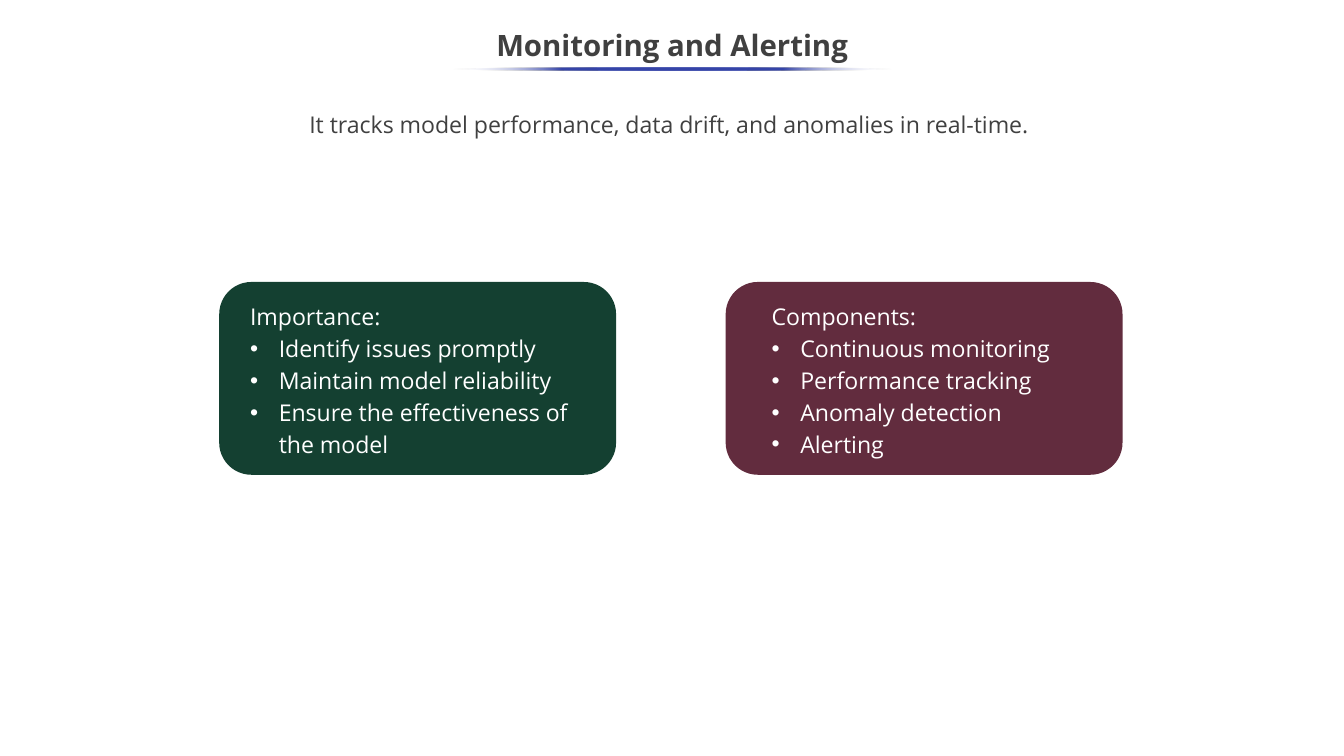
from lxml import etree
from pptx import Presentation
from pptx.dml.color import RGBColor
from pptx.enum.shapes import MSO_SHAPE
from pptx.enum.text import MSO_ANCHOR, PP_ALIGN
from pptx.oxml.ns import qn
from pptx.util import Inches, Pt

WIDTH, HEIGHT = 17.78, 10
FONT = "Open Sans"
GREY = RGBColor(0x40, 0x40, 0x40)
WHITE = RGBColor(0xFF, 0xFF, 0xFF)
GREEN = RGBColor(0x14, 0x40, 0x31)
MAROON = RGBColor(0x62, 0x2C, 0x3E)
BLUE = RGBColor(0x36, 0x45, 0xA9)
CARD_LEFT, CARD_TOP = 2.9, 3.73
CARD_WIDTH, CARD_HEIGHT, CARD_PITCH = 5.25, 2.55, 6.7
BULLET_INDENT = 0.38
CARDS = [
    (GREEN, 0.31, 4.64, "Importance:", [
        "Identify issues promptly",
        "Maintain model reliability",
        "Ensure the effectiveness of the model",
    ]),
    (MAROON, 0.51, 4.26, "Components:", [
        "Continuous monitoring",
        "Performance tracking",
        "Anomaly detection",
        "Alerting",
    ]),
]


def add_bullet(paragraph):
    """Give a paragraph a round bullet with a hanging indent."""
    properties = paragraph._p.get_or_add_pPr()
    indent = Inches(BULLET_INDENT)
    properties.set("marL", str(indent))
    properties.set("indent", str(-indent))
    etree.SubElement(properties, qn("a:buFont")).set("typeface", "Arial")
    etree.SubElement(properties, qn("a:buChar")).set("char", "•")


def add_text(slide, box, lines, size, color, spacing=1.15, bold=False,
             align=PP_ALIGN.LEFT, anchor=MSO_ANCHOR.TOP, inset=0.05):
    """Add a text box whose lines after the first are bullets."""
    frame = slide.shapes.add_textbox(*map(Inches, box)).text_frame
    frame.word_wrap = True
    frame.vertical_anchor = anchor
    frame.margin_top = frame.margin_bottom = Inches(inset)
    frame.text = "\n".join(lines)
    for index, paragraph in enumerate(frame.paragraphs):
        paragraph.alignment = align
        paragraph.line_spacing = spacing
        if index:
            add_bullet(paragraph)
        for run in paragraph.runs:
            run.font.name = FONT
            run.font.size = Pt(size)
            run.font.bold = bold
            run.font.color.rgb = color


def add_plain_shape(slide, preset, box):
    """Add a preset shape without outline or shadow."""
    shape = slide.shapes.add_shape(preset, *map(Inches, box))
    shape.shadow.inherit = False
    shape.line.fill.background()
    return shape


def add_card(slide, column, color, text_offset, text_width, heading, items):
    """Add a rounded card holding a heading and its bullets."""
    left = CARD_LEFT + column * CARD_PITCH
    card = add_plain_shape(slide, MSO_SHAPE.ROUNDED_RECTANGLE,
                           (left, CARD_TOP, CARD_WIDTH, CARD_HEIGHT))
    card.fill.solid()
    card.fill.fore_color.rgb = color
    add_text(slide, (left + text_offset, CARD_TOP + 0.17, text_width, 2.2),
             [heading, *items], 22, WHITE)


def add_title_rule(slide):
    """Add the thin underline that fades out at both ends."""
    rule = add_plain_shape(slide, MSO_SHAPE.OVAL, (5.99, 0.89, 5.82, 0.04))
    rule.fill.gradient()
    rule.fill.gradient_angle = 180
    stops = rule.fill._fill._gradFill.find(qn("a:gsLst"))
    for stop in list(stops):
        stops.remove(stop)
    for percent in range(0, 101, 25):
        faded = percent in (0, 100)
        stop = etree.SubElement(stops, qn("a:gs"), pos=str(percent * 1000))
        color = etree.SubElement(stop, qn("a:srgbClr"),
                                 val=str(WHITE if faded else BLUE))
        if faded:
            etree.SubElement(color, qn("a:alpha"), val="0")


def main():
    """Build the monitoring and alerting slide."""
    deck = Presentation()
    deck.slide_width, deck.slide_height = Inches(WIDTH), Inches(HEIGHT)
    slide = deck.slides.add_slide(deck.slide_layouts[6])
    add_text(slide, (0, 0.25, WIDTH, 0.75), ["Monitoring and Alerting"], 28, GREY,
             spacing=0.9, bold=True, align=PP_ALIGN.CENTER, anchor=MSO_ANCHOR.MIDDLE)
    add_text(slide, (1.4, 1.4, 14.98, 0.99),
             ["It tracks model performance, data drift, and anomalies in real-time. "],
             22, GREY, align=PP_ALIGN.CENTER, inset=0)
    for column, card in enumerate(CARDS):
        add_card(slide, column, *card)
    add_title_rule(slide)
    deck.save("out.pptx")


if __name__ == "__main__":
    main()
